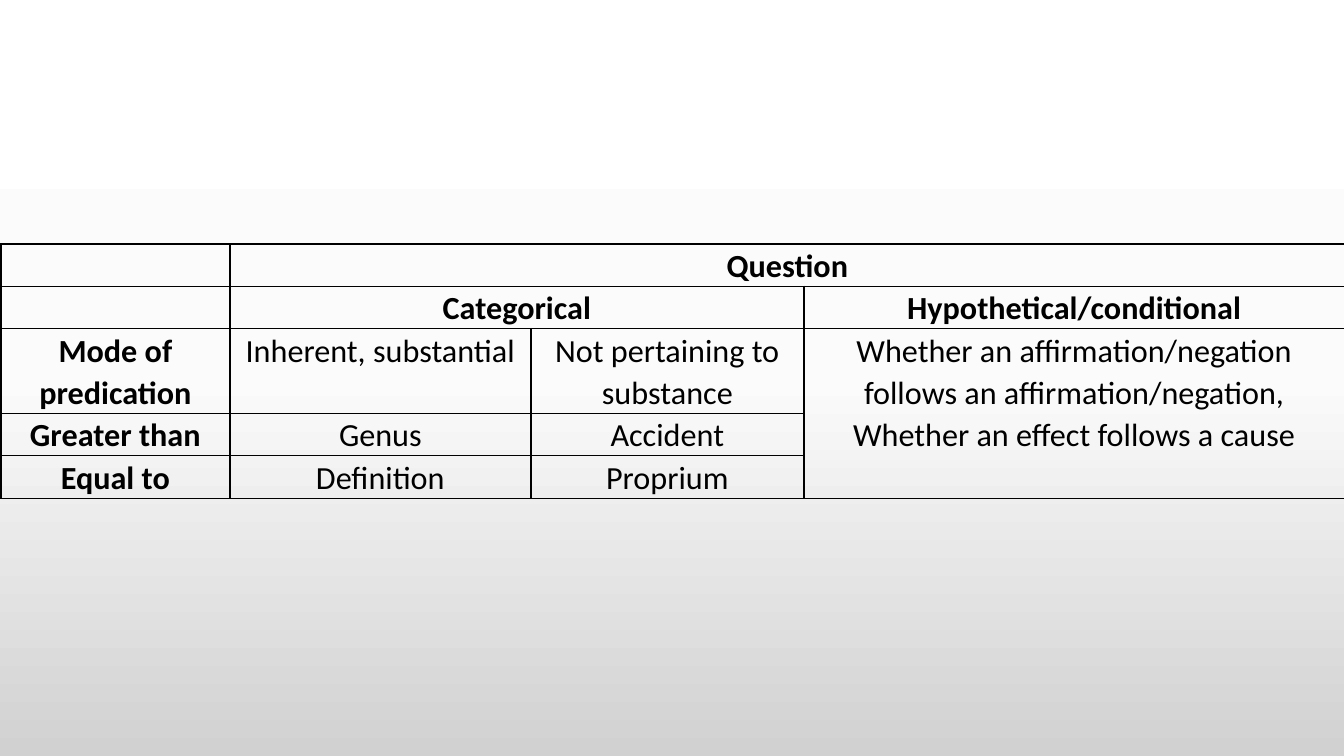
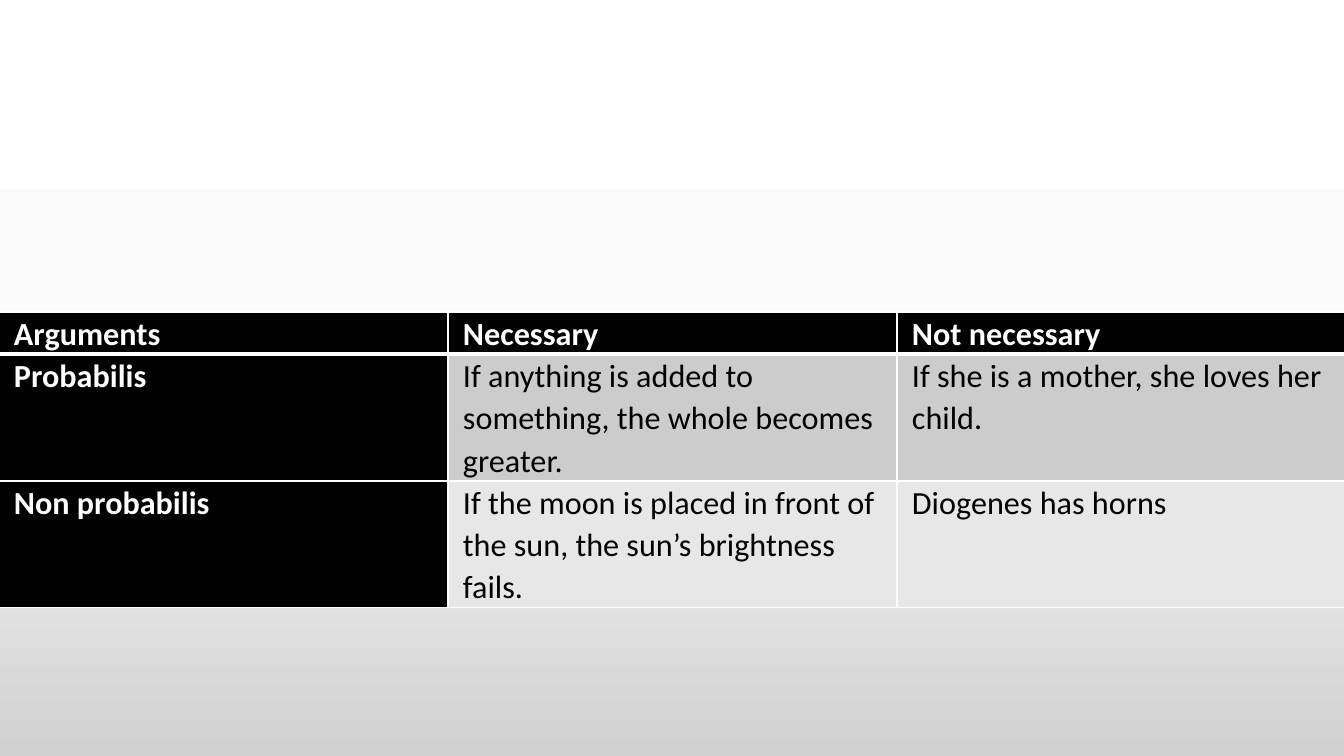
from pptx import Presentation
from pptx.dml.color import RGBColor
from pptx.enum.text import PP_ALIGN as Align
from pptx.oxml.ns import qn
from pptx.util import Pt
from lxml.etree import SubElement, Element

SLIDE_W, SLIDE_H = 1344, 756
EMU_PER_PX = 12192000 / SLIDE_W
FONT, TEXT_SIZE, LINE_SPACING = "Calibri", 23, 1.07
SIDE_MARGIN = 15
BLACK, WHITE = "000000", "FFFFFF"
BACKDROP = [(0, WHITE), (50, "FBFBFB"), (100, "D1D1D1")]
ROW_TINTS = ["CCCCCC", "E7E7E7"]


def px(length):
    """Turn pixels into EMU."""
    return round(length * EMU_PER_PX)


def rgb(color):
    """Turn a hex string into a colour."""
    return RGBColor.from_string(color)


def paint_backdrop(master):
    """Give the master the vertical gradient that all slides share."""
    master.background.fill.gradient()
    gradient = next(master.element.iter(qn("a:gradFill")))
    for child in list(gradient):
        gradient.remove(child)
    stops = SubElement(gradient, qn("a:gsLst"))
    for percent, color in BACKDROP:
        stop = SubElement(stops, qn("a:gs"), pos=str(percent * 1000))
        SubElement(stop, qn("a:srgbClr"), val=color)
    SubElement(gradient, qn("a:lin"), ang="5400000", scaled="0")


def add_grid(slide, left, top, widths, heights):
    """Add an unstyled table with the given column widths and row heights."""
    frame = slide.shapes.add_table(len(heights), len(widths), px(left), px(top),
                                   px(sum(widths)), px(sum(heights)))
    table = frame.table
    table.first_row = table.horz_banding = False
    for column, width in zip(table.columns, widths):
        column.width = px(width)
    for row, height in zip(table.rows, heights):
        row.height = px(height)
    return table


def write_cell(cell, text, color, bold, align):
    """Write each line of the text as a paragraph with one run."""
    cell.margin_left = cell.margin_right = px(SIDE_MARGIN)
    cell.margin_top = cell.margin_bottom = 0
    body = cell.text_frame
    for index, line in enumerate(text.split("\n") if text else []):
        paragraph = body.add_paragraph() if index else body.paragraphs[0]
        paragraph.alignment = align
        paragraph.line_spacing = LINE_SPACING
        run = paragraph.add_run()
        run.text = line
        run.font.name, run.font.size = FONT, Pt(TEXT_SIZE)
        run.font.bold = bold
        run.font.color.rgb = rgb(color)


def dress_cell(cell, fill, border, top=1, bottom=1):
    """Set the fill, or none, and the four borders of a cell."""
    if fill:
        cell.fill.solid()
        cell.fill.fore_color.rgb = rgb(fill)
    else:
        cell.fill.background()
    properties = cell._tc.get_or_add_tcPr()
    sides = [("a:lnL", 1), ("a:lnR", 1), ("a:lnT", top), ("a:lnB", bottom)]
    for position, (side, width) in enumerate(sides):
        line = Element(qn(side), w=str(Pt(width)))
        solid = SubElement(line, qn("a:solidFill"))
        SubElement(solid, qn("a:srgbClr"), val=border)
        properties.insert(position, line)


def question_table(slide, left, top):
    """Place the outlined table of questions and modes of predication."""
    rows = [
        ["", "Question", "", ""],
        ["", "Categorical", "", "Hypothetical/conditional"],
        ["Mode of predication", "Inherent, substantial", "Not pertaining to substance",
         "Whether an affirmation/negation follows an affirmation/negation,\n"
         "Whether an effect follows a cause"],
        ["Greater than", "Genus", "Accident", ""],
        ["Equal to", "Definition", "Proprium", ""],
    ]
    table = add_grid(slide, left, top, [229, 301, 273, 541], [42, 42, 85, 42, 43])
    for first, last in [((0, 1), (0, 3)), ((1, 1), (1, 2)), ((2, 3), (4, 3))]:
        table.cell(*first).merge(table.cell(*last))
    for r, row in enumerate(rows):
        for c, text in enumerate(row):
            cell = table.cell(r, c)
            write_cell(cell, text, BLACK, r < 2 or c == 0, Align.CENTER)
            dress_cell(cell, None, BLACK)


def argument_table(slide, left, top):
    """Place the filled table of arguments with its black headers."""
    rows = [
        ["Arguments", "Necessary", "Not necessary"],
        ["Probabilis", "If anything is added to something, the whole becomes greater.",
         "If she is a mother, she loves her child."],
        ["Non probabilis",
         "If the moon is placed in front of the sun, the sun’s brightness fails.",
         "Diogenes has horns"],
    ]
    table = add_grid(slide, left, top, [449] * 3, [42, 126, 126])
    for r, row in enumerate(rows):
        for c, text in enumerate(row):
            cell = table.cell(r, c)
            header = r == 0 or c == 0
            write_cell(cell, text, WHITE if header else BLACK, header, Align.LEFT)
            dress_cell(cell, BLACK if header else ROW_TINTS[r - 1], WHITE,
                       top=3 if r == 1 else 1, bottom=3 if r == 0 else 1)


def main():
    """Build both slides and save them."""
    deck = Presentation()
    deck.slide_width, deck.slide_height = px(SLIDE_W), px(SLIDE_H)
    paint_backdrop(deck.slide_master)
    blank = deck.slide_layouts[6]
    question_table(deck.slides.add_slide(blank), 1, 244)
    argument_table(deck.slides.add_slide(blank), -1, 312)
    deck.save("out.pptx")


main()
